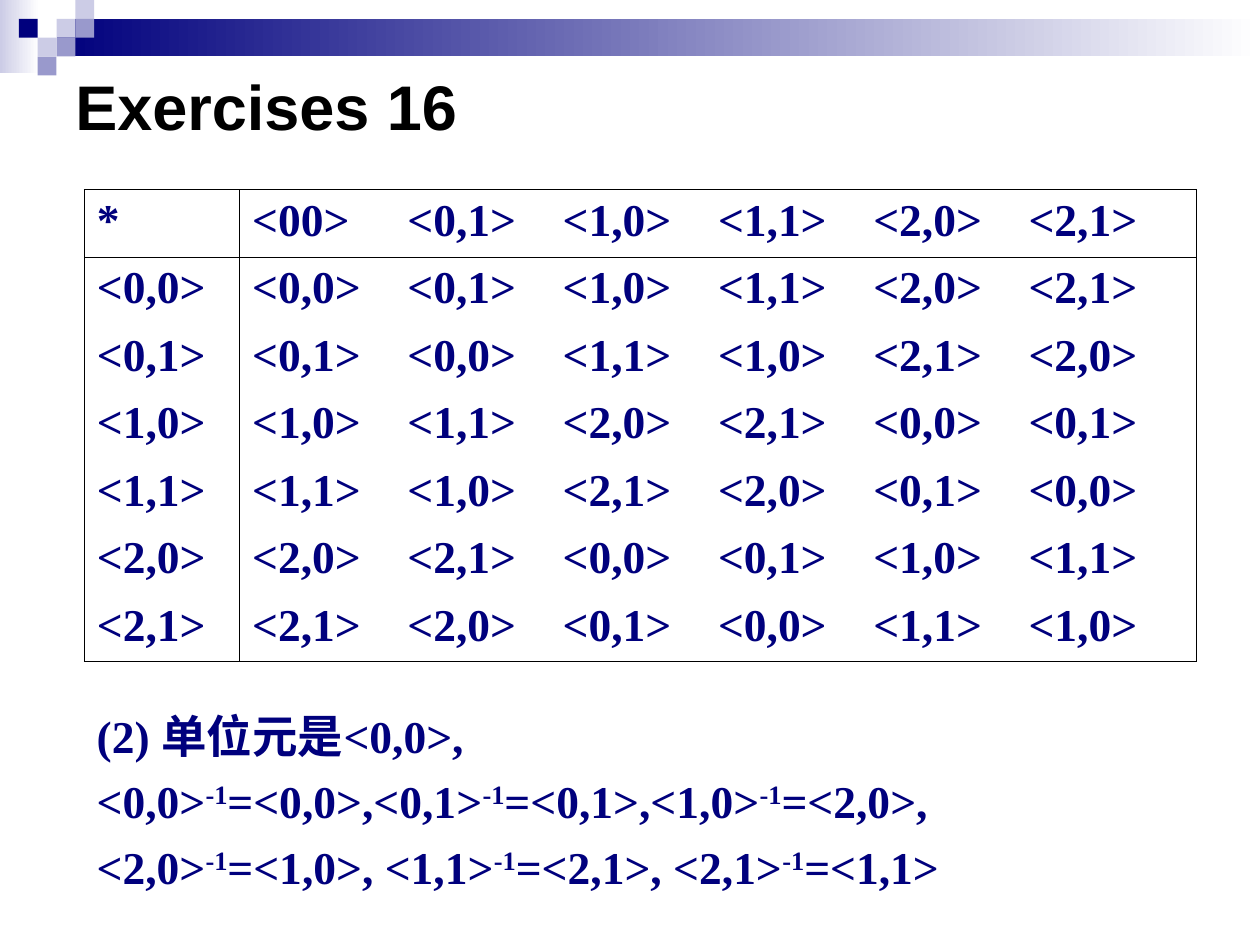
import pptx
import pptx.util
import pptx.dml.color
import pptx.enum.shapes
import pptx.enum.text
import pptx.oxml.ns
import lxml.etree

Cm, Pt = pptx.util.Cm, pptx.util.Pt
NAVY, MID, PALE, WHITE, BLACK = "00007D", "9999CC", "CCCCE6", "FFFFFF", "000000"


def rgb(hue):
    return pptx.dml.color.RGBColor.from_string(hue)


def add_run(para, text, size=26, face="Times New Roman", hue=NAVY):
    run = para.add_run()
    run.text = text
    run.font.size = Pt(size)
    run.font.name = face
    run.font.bold = True
    run.font.color.rgb = rgb(hue)
    return run


deck = pptx.Presentation()
deck.slide_width, deck.slide_height = Cm(25.4), Cm(19.05)
slide = deck.slides.add_slide(deck.slide_layouts[6])

# Header bands (two colours fade) and small squares
side = 0.38
bars = [
    (0, 0, 0.79, 1.47, (PALE, WHITE)),
    (1.14, 0.38, 24.26, 0.76, (NAVY, WHITE)),
]
tiles = [(3, 1, PALE), (4, 0, PALE), (4, 1, MID), (2, 2, PALE),
         (1, 1, NAVY), (3, 2, MID), (2, 3, MID)]
bars += [(col * side, row * side, side, side, (hue,)) for col, row, hue in tiles]
for left, top, width, height, hues in bars:
    bar = slide.shapes.add_shape(pptx.enum.shapes.MSO_SHAPE.RECTANGLE,
                                 Cm(left), Cm(top), Cm(width), Cm(height))
    bar.shadow.inherit = False
    bar.line.fill.background()
    if len(hues) == 1:
        bar.fill.solid()
        bar.fill.fore_color.rgb = rgb(hues[0])
    else:
        bar.fill.gradient()
        bar.fill.gradient_angle = 0
        for stop, hue, place in zip(bar.fill.gradient_stops, hues, (0, 1)):
            stop.color.rgb = rgb(hue)
            stop.position = place

# Title
title = slide.shapes.add_textbox(Cm(1.27), Cm(1.07), Cm(22.86), Cm(2.11))
frame = title.text_frame
frame.word_wrap = True
frame.vertical_anchor = pptx.enum.text.MSO_ANCHOR.MIDDLE
add_run(frame.paragraphs[0], "Exercises 16", 36, "Arial", BLACK)

# Operation table: pairs add up modulo 3 and modulo 2
pairs = [(a, b) for a in range(3) for b in range(2)]
rows = [["*", "<00>"] + [f"<{a},{b}>" for a, b in pairs[1:]]]
for a, b in pairs:
    sums = [f"<{(a + c) % 3},{(b + d) % 2}>" for c, d in pairs]
    rows.append([f"<{a},{b}>"] + sums)

last = len(rows) - 1
grid = slide.shapes.add_table(len(rows), len(rows), Cm(1.7), Cm(3.82),
                              Cm(22.42), Cm(9.52)).table
grid.first_row = grid.horz_banding = False
for num, col in enumerate(grid.columns):
    col.width = Cm(3.64 if num == last else 3.13)
for row in grid.rows:
    row.height = Cm(1.36)

for y, row in enumerate(rows):
    for x, text in enumerate(row):
        cell = grid.cell(y, x)
        add_run(cell.text_frame.paragraphs[0], text)
        # Rules run round the table, under the head row and after the head column
        edges = {"lnL": x < 2, "lnR": x in (0, last),
                 "lnT": y < 2, "lnB": y in (0, last)}
        props = cell._tc.get_or_add_tcPr()
        for tag, drawn in edges.items():
            line = lxml.etree.SubElement(props, pptx.oxml.ns.qn("a:" + tag), w="5715")
            kind = "a:solidFill" if drawn else "a:noFill"
            fill = lxml.etree.SubElement(line, pptx.oxml.ns.qn(kind))
            if drawn:
                lxml.etree.SubElement(fill, pptx.oxml.ns.qn("a:srgbClr"), val=BLACK)
        cell.fill.background()

# Answer: every second run is a raised exponent
answer = [
    ["(2) 单位元是<0,0>,"],
    ["<0,0>", "-1", "=<0,0>,<0,1>", "-1", "=<0,1>,<1,0>", "-1", "=<2,0>,"],
    ["<2,0>", "-1", "=<1,0>, <1,1>", "-1", "=<2,1>, <2,1>", "-1", "=<1,1>"],
]
note = slide.shapes.add_textbox(Cm(1.7), Cm(13.92), Cm(22.86), Cm(4.22))
frame = note.text_frame
frame.word_wrap = True
frame.auto_size = pptx.enum.text.MSO_AUTO_SIZE.SHAPE_TO_FIT_TEXT
for num, parts in enumerate(answer):
    para = frame.add_paragraph() if num else frame.paragraphs[0]
    para.line_spacing = 1.2
    for spot, text in enumerate(parts):
        run = add_run(para, text)
        if spot % 2:
            run._r.get_or_add_rPr().set("baseline", "30000")

deck.save("out.pptx")
